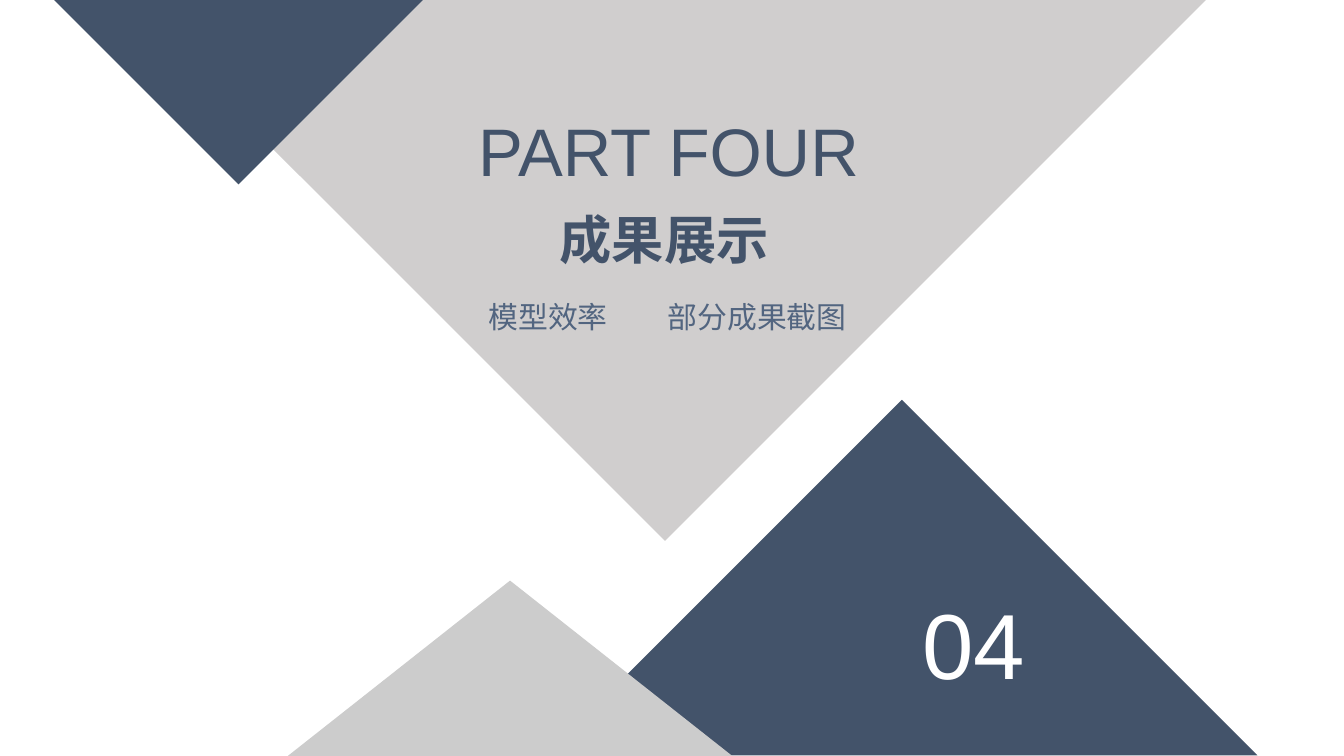
from pptx import Presentation
from pptx import util as u
from pptx.dml.color import RGBColor
from pptx.enum import shapes, text
from pptx.oxml import parse_xml
from pptx.oxml.ns import nsdecls

NAVY = RGBColor(0x43, 0x53, 0x6A)
SLATE = RGBColor(0x52, 0x65, 0x80)
WARM_GREY = RGBColor(0xD0, 0xCE, 0xCE)
LIGHT_GREY = RGBColor(0xCC, 0xCC, 0xCC)
WHITE = RGBColor(0xFF, 0xFF, 0xFF)
POINT_UP, POINT_DOWN = 135, 315


def px(length):
    """Convert px, at 200 to the inch, to EMU."""
    return u.Emu(length * 4572)


def add_triangle(slide, kind, box, color, rotation=0):
    """Add a plain filled triangle."""
    triangle = slide.shapes.add_shape(kind, *map(px, box))
    triangle.rotation = rotation
    triangle.shadow.inherit = False
    triangle.fill.solid()
    triangle.fill.fore_color.rgb = color
    triangle.line.fill.background()


def add_corner(slide, left, top, side, color, rotation):
    """Add a right-angled triangle whose square corner points up or down."""
    add_triangle(slide, shapes.MSO_SHAPE.RIGHT_TRIANGLE,
                 (left, top, side, side), color, rotation)


def write_text(holder, box, words, size, color, align, bold=False, wrap=True):
    """Place a text holder, fill it with one paragraph and return that."""
    holder.left, holder.top, holder.width, holder.height = map(px, box)
    frame = holder.text_frame
    frame.text = words
    frame.word_wrap = wrap
    frame.auto_size = text.MSO_AUTO_SIZE.SHAPE_TO_FIT_TEXT
    frame.vertical_anchor = text.MSO_ANCHOR.TOP
    paragraph = frame.paragraphs[0]
    paragraph.alignment = align
    font = paragraph.font
    font.name, font.size, font.bold = "Arial", u.Pt(size), bold
    font.color.rgb = color
    return paragraph


def add_text(slide, box, *args, **kwargs):
    """Add a text box holding one paragraph and return both."""
    holder = slide.shapes.add_textbox(*map(px, box))
    return holder, write_text(holder, box, *args, **kwargs)


def add_topics(slide):
    """Add the line of topics, spaced by a tab stop."""
    holder, topics = add_text(slide, (727, 434, 564, 64), "模型效率\t部分成果截图",
                              16, SLATE, text.PP_ALIGN.LEFT)
    frame = holder.text_frame
    frame.margin_left = frame.margin_right = 0
    frame.margin_top = frame.margin_bottom = 0
    topics.line_spacing = 1.2
    topics.space_before = u.Pt(3)
    tabs = parse_xml(f'<a:tabLst {nsdecls("a")}><a:tab pos="{px(267)}" algn="l"/></a:tabLst>')
    topics._p.get_or_add_pPr().insert_element_before(tabs, "a:defRPr")


def main():
    """Build the section slide."""
    deck = Presentation()
    deck.slide_width, deck.slide_height = px(2000), px(1125)
    slide = deck.slides.add_slide(deck.slide_layouts[5])
    center = text.PP_ALIGN.CENTER

    add_corner(slide, 420, -570, 1139, WARM_GREY, POINT_DOWN)
    add_corner(slide, 968, 750, 748, NAVY, POINT_UP)
    add_text(slide, (1273, 864, 352, 186), "04", 49.5, WHITE, center)
    add_text(slide, (686, 153, 618, 142), "PART FOUR", 36, NAVY, center, wrap=False)

    title = slide.shapes.title
    write_text(title, (813, 298, 394, 114), "成果展示", 28, NAVY,
               text.PP_ALIGN.LEFT, bold=True)
    slide.shapes._spTree.append(title._element)

    add_topics(slide)
    add_corner(slide, 161, -194, 388, NAVY, POINT_DOWN)
    add_triangle(slide, shapes.MSO_SHAPE.ISOSCELES_TRIANGLE,
                 (427, 864, 664, 262), LIGHT_GREY)
    deck.save("out.pptx")


if __name__ == "__main__":
    main()
